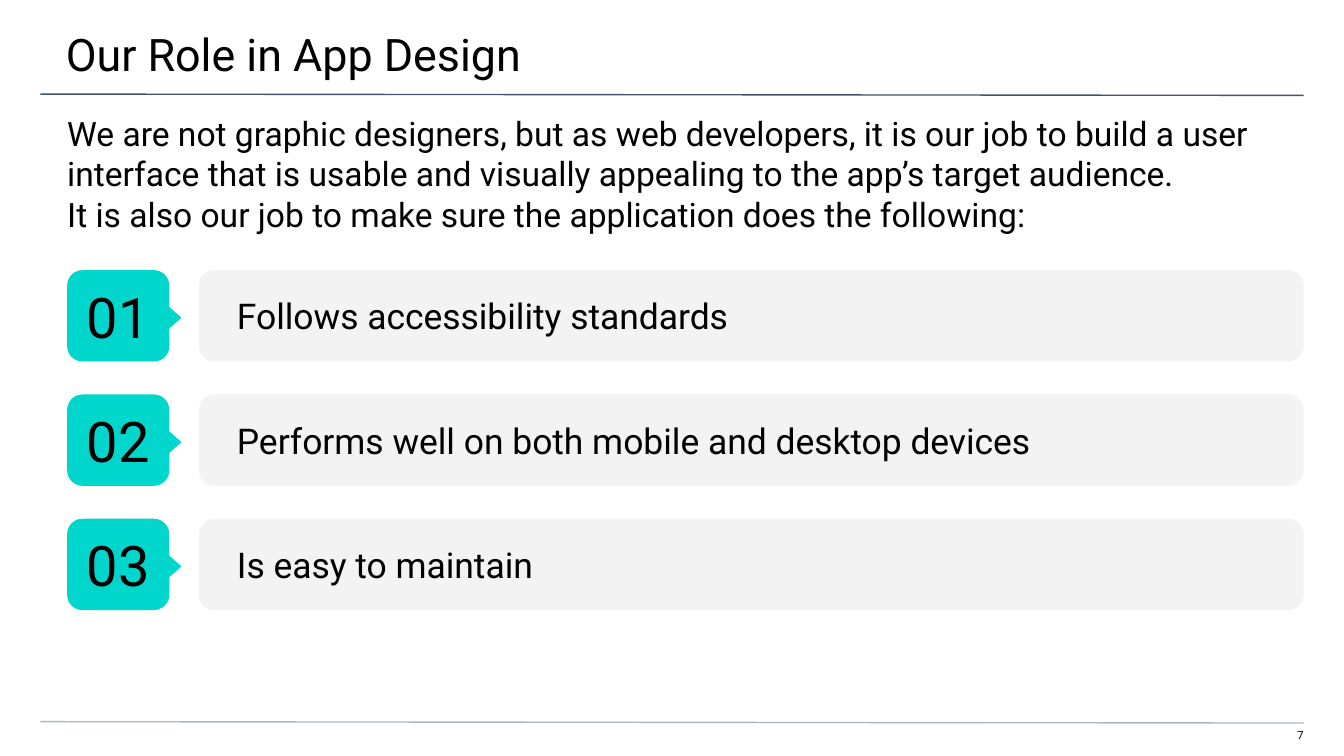
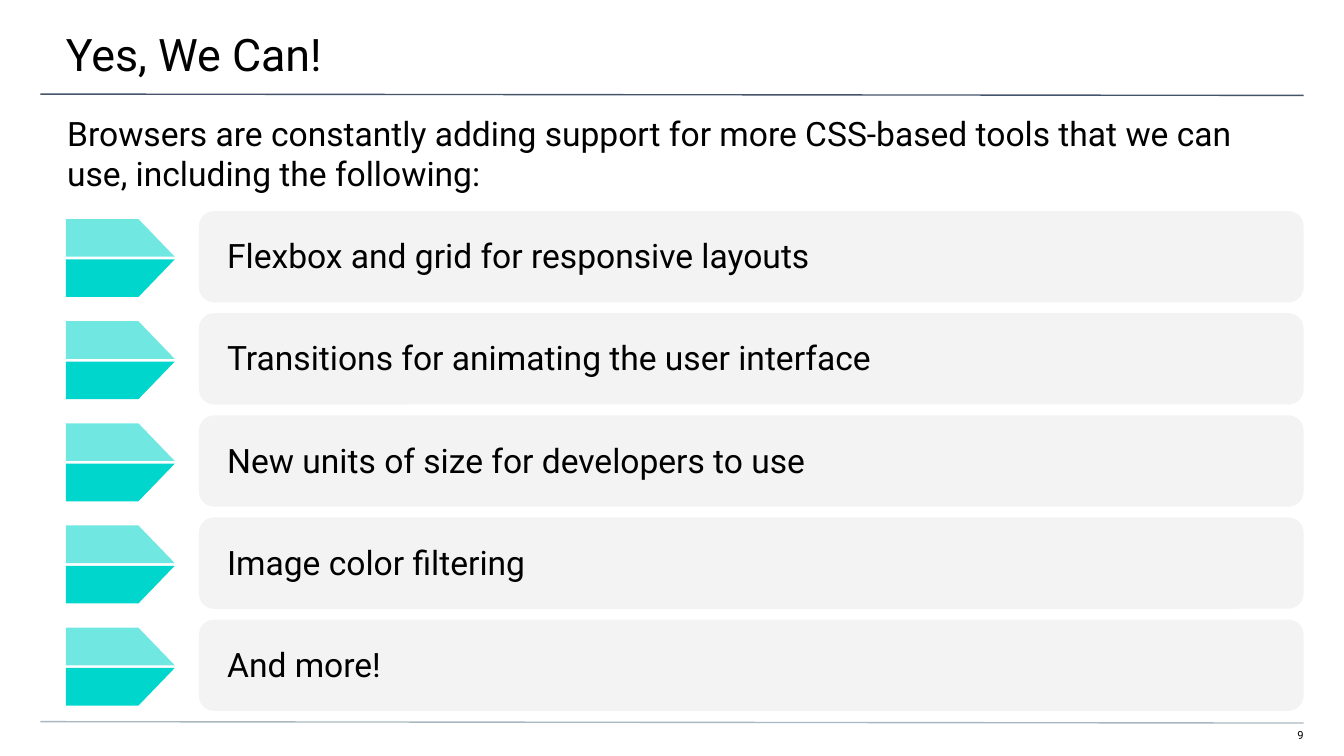
from dataclasses import dataclass

from lxml import etree
from pptx import Presentation
from pptx.dml.color import RGBColor
from pptx.enum.shapes import MSO_CONNECTOR, MSO_SHAPE
from pptx.enum.text import MSO_ANCHOR, PP_ALIGN
from pptx.oxml.ns import qn
from pptx.util import Inches, Pt

ROUND = MSO_SHAPE.ROUNDED_RECTANGLE
POINT = MSO_SHAPE.FLOWCHART_EXTRACT
LINE = MSO_CONNECTOR.STRAIGHT
TOP, MID = MSO_ANCHOR.TOP, MSO_ANCHOR.MIDDLE
LEFT, RIGHT, CENTER = PP_ALIGN.LEFT, PP_ALIGN.RIGHT, PP_ALIGN.CENTER


@dataclass(frozen=True)
class Theme:
    font: str = "Roboto"
    ink: str = "000000"
    teal: str = "00D6CB"
    gray: str = "F3F3F3"
    navy: str = "44546A"
    steel: str = "A9B7C0"
    title: int = 24
    body: int = 18
    item: int = 19
    badge: int = 30
    foot: int = 6
    rule: float = 0.75
    tint: int = 56
    bar: float = 0.68


THEME = Theme()


def color(code):
    return RGBColor.from_string(code)


def write(shape, text, size=THEME.body, align=LEFT, anchor=TOP,
          pad=(0.1, 0.1, 0.1, 0.1)):
    frame = shape.text_frame
    frame.word_wrap = True
    frame.vertical_anchor = anchor
    (frame.margin_left, frame.margin_top,
     frame.margin_right, frame.margin_bottom) = map(Inches, pad)
    para = frame.paragraphs[0]
    para.text = text
    para.alignment = align
    for run in para.runs:
        run.font.name = THEME.font
        run.font.size = Pt(size)
        run.font.color.rgb = color(THEME.ink)


def label(slide, box, text, **style):
    write(slide.shapes.add_textbox(*map(Inches, box)), text, **style)


def paint(shape, code, alpha=None):
    shape.shadow.inherit = False
    shape.fill.solid()
    shape.fill.fore_color.rgb = color(code)
    shape.line.fill.background()
    if alpha is not None:
        tone = shape._element.spPr.find(qn("a:solidFill"))[0]
        etree.SubElement(tone, qn("a:alpha")).set("val", str(alpha * 1000))


def block(slide, kind, box, code):
    shape = slide.shapes.add_shape(kind, *map(Inches, box))
    paint(shape, code)
    return shape


def panel(slide, box, code):
    shape = block(slide, ROUND, box, code)
    shape.adjustments[0] = 0.167
    return shape


def rule(slide, top, code):
    ends = map(Inches, (0.3, top, 9.7, top + 0.01))
    line = slide.shapes.add_connector(LINE, *ends)
    line.line.color.rgb = color(code)
    line.line.width = Pt(THEME.rule)
    etree.SubElement(line._element.spPr, qn("a:effectLst"))


def base(deck, title, intro, page):
    slide = deck.slides.add_slide(deck.slide_layouts[6])
    label(slide, (9.41, 5.42, 0.29, 0.12), page, size=THEME.foot,
          align=RIGHT, pad=(0, 0, 0, 0.1))
    rule(slide, 0.7, THEME.navy)
    rule(slide, 5.37, THEME.steel)
    label(slide, (-0.01, 0, 10.03, 0.58), title, size=THEME.title,
          pad=(0.5, 0.2, 0.3, 0.1))
    label(slide, (0, 0.74, 10, 0.4), intro, pad=(0.5, 0.1, 0.5, 0))
    return slide


def stack(slide, items, first, last, draw):
    step = (last - first) / (len(items) - 1)
    for num, text in enumerate(items):
        draw(slide, (0.5, first + num * step, 9.2, THEME.bar), num + 1, text)


def badge(slide, box, num, text):
    left, top, width, high = box
    bar = panel(slide, (left + 0.98, top, width - 0.98, high), THEME.gray)
    write(bar, text, size=THEME.item, anchor=MID, pad=(0.25, 0.1, 0.1, 0.1))
    tile = panel(slide, (left, top, 0.76, high), THEME.teal)
    write(tile, f"{num:02}", size=THEME.badge, align=CENTER, anchor=MID)
    tip = block(slide, POINT, (left + 0.56, top + 0.25, 0.37, 0.21), THEME.teal)
    tip.rotation = 90


def wedge(slide, left, flat, tip, alpha=None):
    spots = [(left, flat), (left, tip), (left + 0.81, tip), (left + 0.54, flat)]
    spots = [(Inches(x), Inches(y)) for x, y in spots]
    pen = slide.shapes.build_freeform(*spots[0])
    pen.add_line_segments(spots[1:], close=True)
    paint(pen.convert_to_shape(), THEME.teal, alpha)


def arrow(slide, box, num, text):
    left, top, width, high = box
    panel(slide, (left + 0.98, top, width - 0.98, high), THEME.gray)
    label(slide, (left - 0.51, top, 10.03, 0.66), text, anchor=MID,
          pad=(1.7, 0, 0.5, 0))
    wedge(slide, left - 0.01, top + 0.06, top + 0.34, THEME.tint)
    wedge(slide, left - 0.01, top + 0.64, top + 0.36)


def main():
    deck = Presentation()
    deck.slide_width = Inches(10)
    deck.slide_height = Inches(10 * 9 / 16)

    role = base(
        deck, "Our Role in App Design",
        "We are not graphic designers, but as web developers, it is our job "
        "to build a user interface that is usable and visually appealing to "
        "the app’s target audience. \n"
        "It is also our job to make sure the application does the following:",
        "7")
    stack(role, ["Follows accessibility standards",
                 "Performs well on both mobile and desktop devices",
                 "Is easy to maintain"], 2.01, 3.86, badge)

    tools = base(
        deck, "Yes, We Can!",
        "Browsers are constantly adding support for more CSS-based tools "
        "that we can use, including the following:", "9")
    stack(tools, ["Flexbox and grid for responsive layouts",
                  "Transitions for animating the user interface",
                  "New units of size for developers to use",
                  "Image color filtering",
                  "And more!"], 1.57, 4.61, arrow)

    deck.save("out.pptx")


if __name__ == "__main__":
    main()
